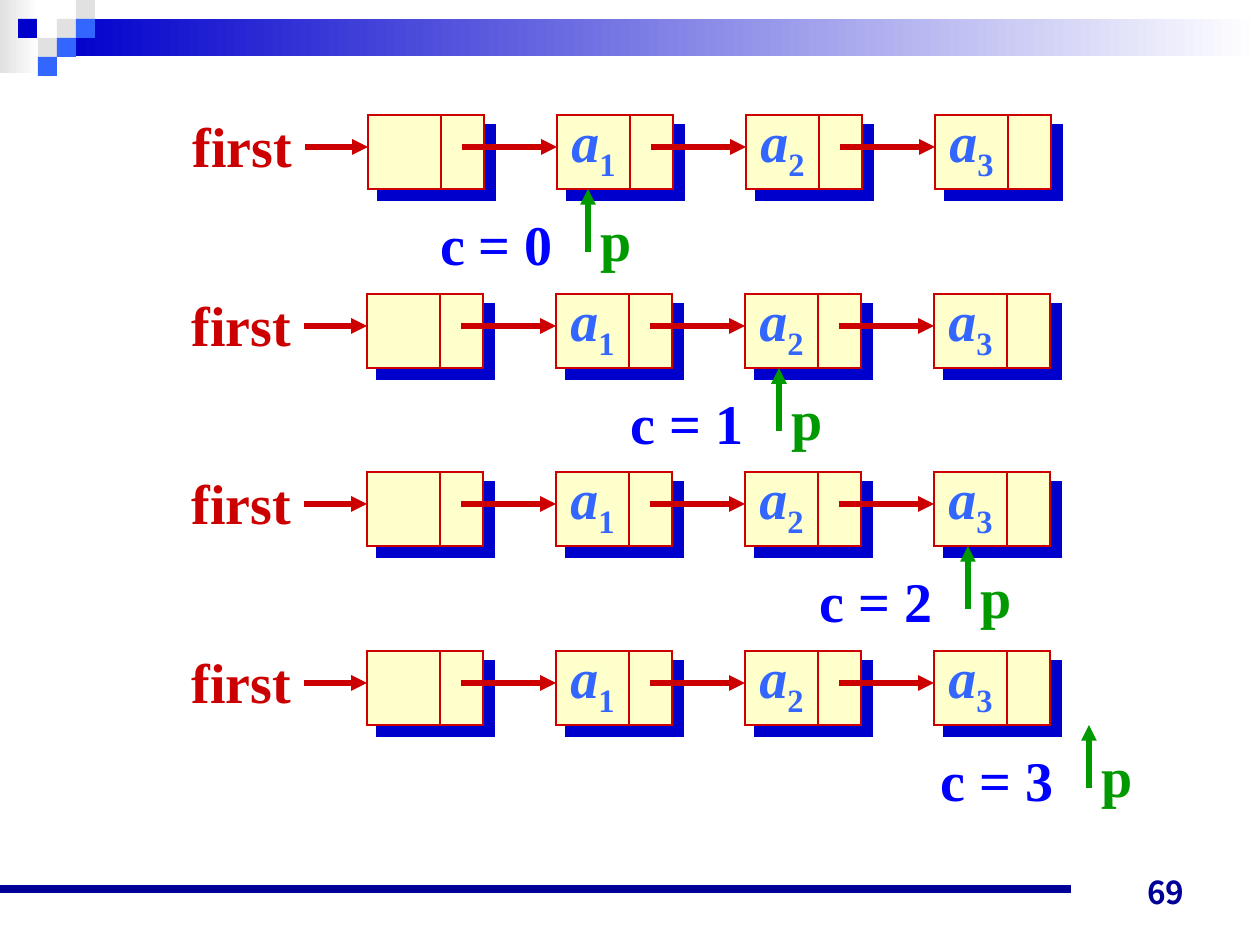
"""Build a slide that traces pointer p and counter c along a linked list."""
from lxml.etree import SubElement
from pptx import Presentation
from pptx.dml.color import RGBColor
from pptx.enum.shapes import MSO_CONNECTOR as Connector, MSO_SHAPE as Shape
from pptx.enum.text import MSO_ANCHOR as Anchor, MSO_AUTO_SIZE as AutoSize, PP_ALIGN as Align
from pptx.oxml.ns import qn
from pptx.util import Pt

PX = 914400 // 126
RED, GREEN, BLUE, NAVY = "CC0000", "009900", "0000CC", "000099"
PALE, SKY, CREAM, WHITE = "E1E1E1", "3366FF", "FFFFCC", "FFFFFF"
NODE_WIDTH, NODE_HEIGHT, NODE_PITCH, DIVIDER = 116, 74, 189, 73
color = RGBColor.from_string

presentation = Presentation()
presentation.slide_width, presentation.slide_height = 1260 * PX, 945 * PX
slide = presentation.slides.add_slide(presentation.slide_layouts[6])
shapes = slide.shapes


def add_line(x1, y1, x2, y2, ink, weight, arrow=False):
    """Draw a straight line, with an arrowhead at its end if asked."""
    line = shapes.add_connector(Connector.STRAIGHT, x1 * PX, y1 * PX, x2 * PX, y2 * PX)
    line.line.color.rgb = color(ink)
    line.line.width = Pt(weight)
    properties = line._element.spPr
    if arrow:
        SubElement(properties.find(qn("a:ln")), qn("a:tailEnd"), type="triangle")
    SubElement(properties, qn("a:effectLst"))


def add_label(words, left, top, width, height, ink, subscript=""):
    """Write a bold centred label, italic when a subscript follows it."""
    box = shapes.add_textbox(left * PX, top * PX, width * PX, height * PX)
    frame = box.text_frame
    frame.text = words
    frame.word_wrap = False
    frame.auto_size = AutoSize.SHAPE_TO_FIT_TEXT
    frame.vertical_anchor = Anchor.MIDDLE
    paragraph = frame.paragraphs[0]
    paragraph.alignment = Align.CENTER
    if subscript:
        lowered = paragraph.add_run()
        lowered.text = subscript
        lowered._r.get_or_add_rPr().set("baseline", "-25000")
    for run in paragraph.runs:
        run.font.name = "Times New Roman"
        run.font.size = Pt(32)
        run.font.bold = True
        run.font.color.rgb = color(ink)
    paragraph.runs[0].font.italic = bool(subscript)
    return frame


for left, top, width, height, start in [(0, 0, 39, 73, PALE), (57, 19, 1203, 37, BLUE)]:
    band = shapes.add_shape(Shape.RECTANGLE, left * PX, top * PX, width * PX, height * PX)
    band.shadow.inherit = False
    band.line.fill.background()
    band.fill.gradient()
    band.fill.gradient_angle = 0
    for stop, ink in zip(band.fill.gradient_stops, (start, WHITE)):
        stop.color.rgb = color(ink)

for left, top, ink in [(57, 19, PALE), (76, 0, PALE), (76, 19, SKY), (38, 38, PALE),
                       (18, 19, BLUE), (57, 38, SKY), (38, 57, SKY)]:
    square = shapes.add_shape(Shape.RECTANGLE, left * PX, top * PX, 19 * PX, 19 * PX)
    square.shadow.inherit = False
    square.line.fill.background()
    square.fill.solid()
    square.fill.fore_color.rgb = color(ink)

add_line(0, 889, 1071, 889, NAVY, 4.5)
number_frame = add_label("69", 903, 854, 294, 63, NAVY)
number_frame.word_wrap = True
number_frame.auto_size = AutoSize.NONE
number_frame.vertical_anchor = Anchor.BOTTOM
number_frame.paragraphs[0].alignment = Align.RIGHT
number_font = number_frame.paragraphs[0].runs[0].font
number_font.name = "Noto Sans CJK JP"
number_font.size = Pt(18)

for step, pointer in enumerate([588, 779, 968, 1089]):
    list_left = 367 if step else 368
    top = (231 + 357 * step) // 2
    bottom, middle = top + NODE_HEIGHT, top + 32
    for index in range(4):
        left = list_left + index * NODE_PITCH
        node = shapes.add_shape(Shape.RECTANGLE, left * PX, top * PX,
                                NODE_WIDTH * PX, NODE_HEIGHT * PX)
        node.fill.solid()
        node.fill.fore_color.rgb = color(CREAM)
        node.line.color.rgb = color(RED)
        node.line.width = Pt(1.5)
        node.shadow.inherit = False
        properties = node._element.spPr
        SubElement(properties.find(qn("a:ln")), qn("a:miter"), lim="800000")
        shadow = SubElement(properties.find(qn("a:effectLst")), qn("a:outerShdw"),
                            dist=str(Pt(8.5)), dir="2700000", algn="ctr", rotWithShape="0")
        SubElement(shadow, qn("a:srgbClr"), val=BLUE)
        if index < 3:
            add_line(left + 94, middle, left + NODE_PITCH, middle, RED, 3, arrow=True)
        add_line(left + DIVIDER, top, left + DIVIDER, bottom, RED, 1.5)
        if index:
            add_label("a", left + 2, top - 15, 69, 89, SKY, subscript=str(index))
    add_line(list_left - 63, middle, list_left, middle, RED, 3, arrow=True)
    add_label("first", list_left - 188, top - 10, 125, 81, RED)
    add_line(pointer, bottom + 63, pointer, bottom, GREEN, 3, arrow=True)
    add_label("p", pointer, top + 84, 57, 81, GREEN)
    add_label(f"c = {step}", pointer - 166, top + 88, 149, 81, "0000FF")

presentation.save("out.pptx")
